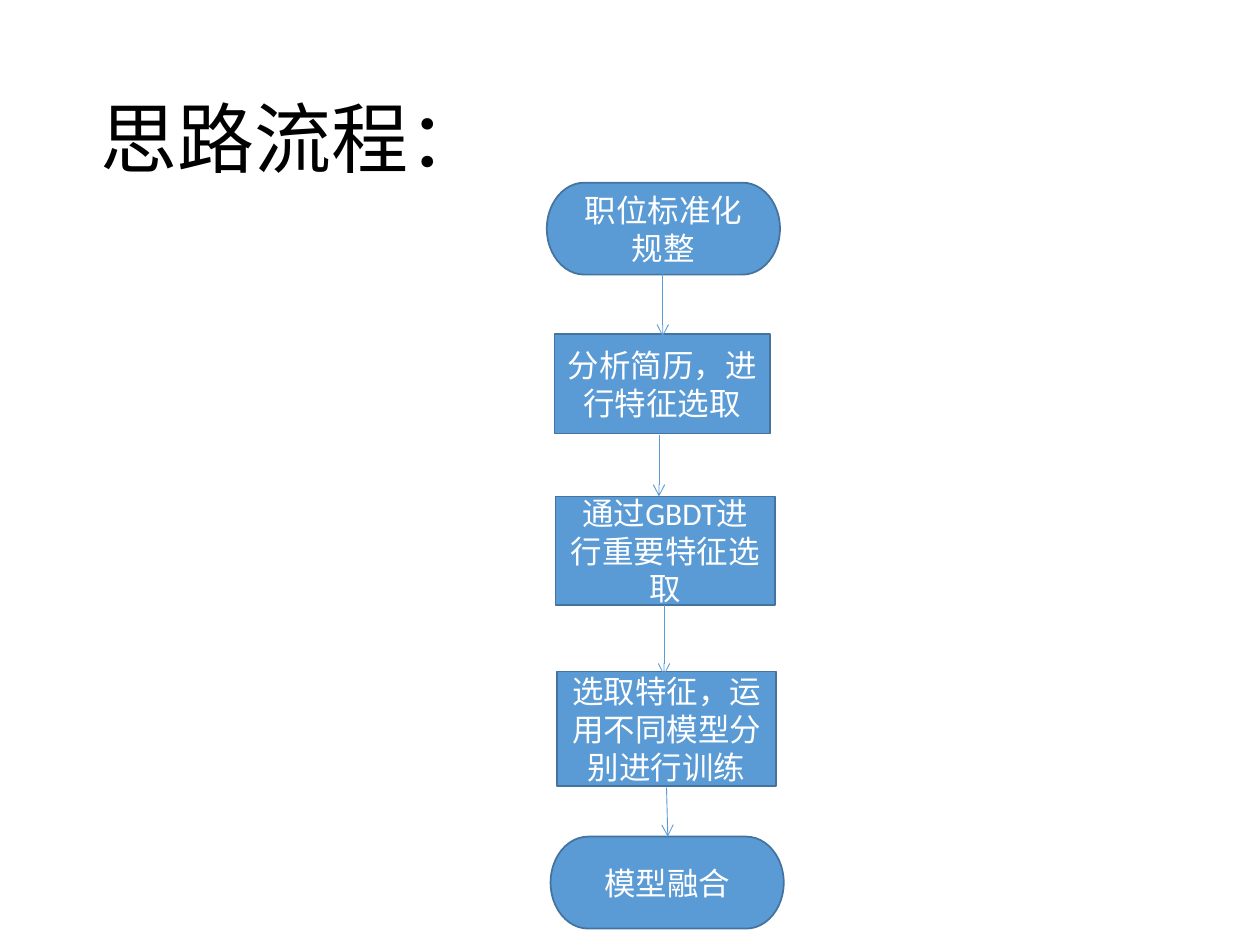
from lxml.etree import SubElement
from pptx import Presentation
from pptx.dml.color import RGBColor
from pptx.enum.shapes import MSO_CONNECTOR, MSO_SHAPE
from pptx.enum.text import MSO_ANCHOR, PP_ALIGN
from pptx.oxml.ns import qn
from pptx.util import Inches, Pt

BLUE = "5B9BD5"
EDGE = "43739E"
END = MSO_SHAPE.FLOWCHART_TERMINATOR
STEP = MSO_SHAPE.FLOWCHART_PROCESS

NODES = [
    (END, "职位标准化规整", (4.34, 1.45, 1.85, 0.73)),
    (STEP, "分析简历，进行特征选取", (4.4, 2.65, 1.71, 0.79)),
    (STEP, "通过GBDT进行重要特征选取", (4.41, 3.94, 1.74, 0.86)),
    (STEP, "选取特征，运用不同模型分别进行训练", (4.42, 5.33, 1.74, 0.91)),
    (END, "模型融合", (4.37, 6.64, 1.85, 0.73)),
]
LINKS = [
    (5.26, 2.17, 5.26, 2.67),
    (5.23, 3.45, 5.23, 3.94),
    (5.27, 4.8, 5.27, 5.36),
    (5.29, 6.25, 5.3, 6.64),
]


def color(code):
    return RGBColor.from_string(code)


def shift(box, spot):
    left, top = box[:2]
    return [Inches(n) for n in (left + spot[0], top + spot[1], *spot[2:])]


def write(shape, text, size=18, ink="FFFFFF", align=PP_ALIGN.CENTER, space=1.0):
    frame = shape.text_frame
    frame.word_wrap = True
    frame.vertical_anchor = MSO_ANCHOR.MIDDLE
    para = frame.paragraphs[0]
    para.alignment = align
    para.line_spacing = space
    run = para.add_run()
    run.text = text
    run.font.name = "Calibri"
    run.font.size = Pt(size)
    run.font.color.rgb = color(ink)


def add_node(group, kind, text, spot):
    node = group.shapes.add_shape(kind, *spot)
    node.shadow.inherit = False
    node.fill.solid()
    node.fill.fore_color.rgb = color(BLUE)
    node.line.color.rgb = color(EDGE)
    node.line.width = Pt(1)
    write(node, text)


def add_arrow(group, ends):
    link = group.shapes.add_connector(MSO_CONNECTOR.STRAIGHT, *ends)
    link.line.color.rgb = color(BLUE)
    link.line.width = Pt(0.5)
    props = link._element.spPr
    SubElement(props.find(qn("a:ln")), qn("a:tailEnd"), type="arrow")
    SubElement(props, qn("a:effectLst"))


def add_title(slide, box):
    title = slide.shapes.add_textbox(*[Inches(n) for n in box])
    write(title, "思路流程：", size=44, ink="000000", align=PP_ALIGN.LEFT, space=0.9)


def add_flow(slide, box):
    group = slide.shapes.add_group_shape()
    left, top = box[:2]
    for kind, text, (x, y, wide, high) in NODES:
        add_node(group, kind, text, shift(box, (x - left, y - top, wide, high)))
    for ends in LINKS:
        add_arrow(group, [Inches(n) for n in ends])


def main():
    deck = Presentation()
    deck.slide_width = Inches(10)
    deck.slide_height = Inches(7.5)
    slide = deck.slides.add_slide(deck.slide_layouts[6])
    add_title(slide, (0.7, 0.41, 8.62, 1.45))
    add_flow(slide, (4.34, 1.45, 1.88, 5.92))
    deck.save("out.pptx")


if __name__ == "__main__":
    main()
